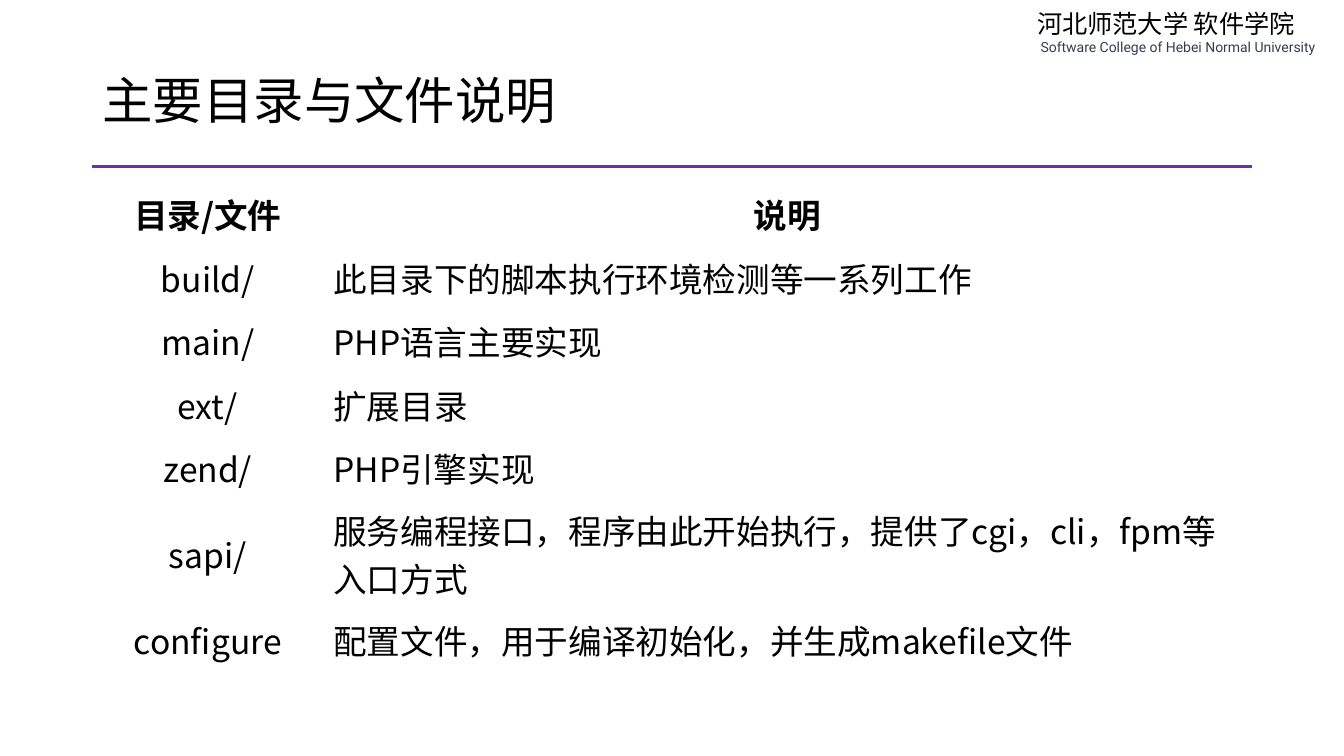
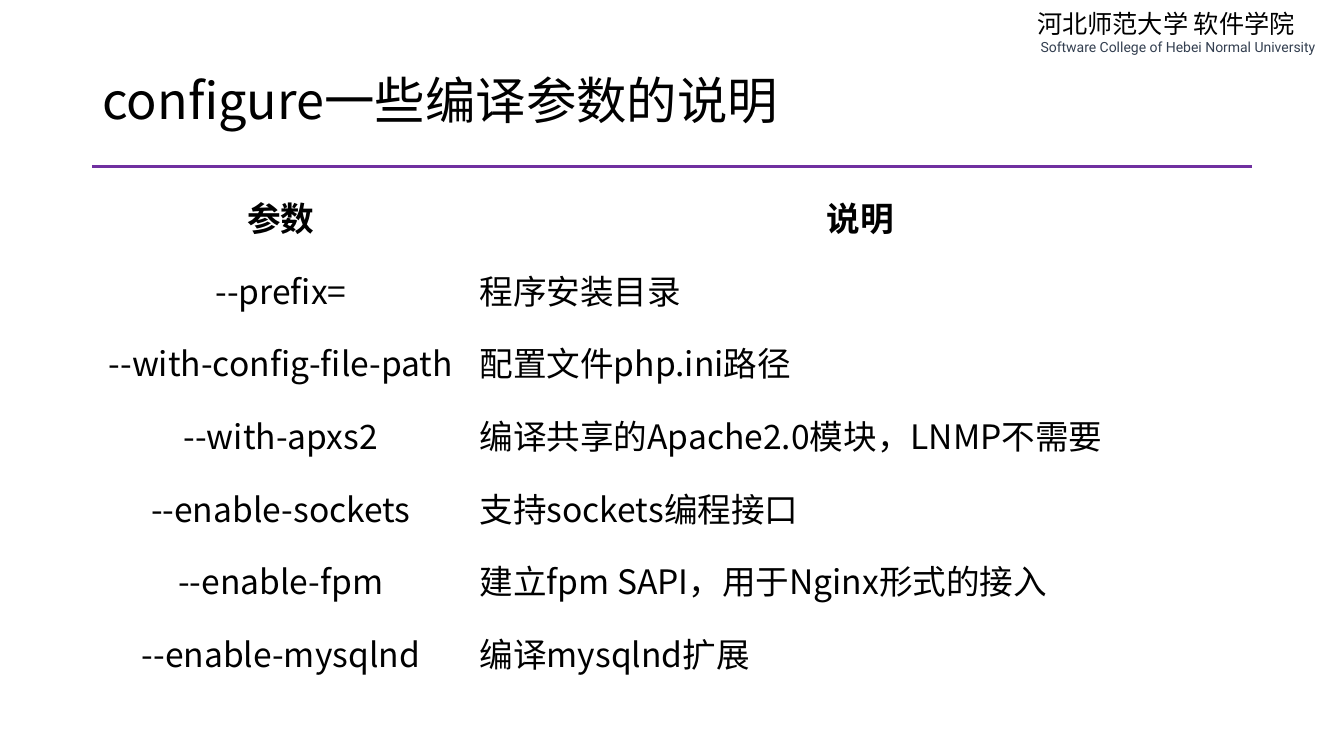
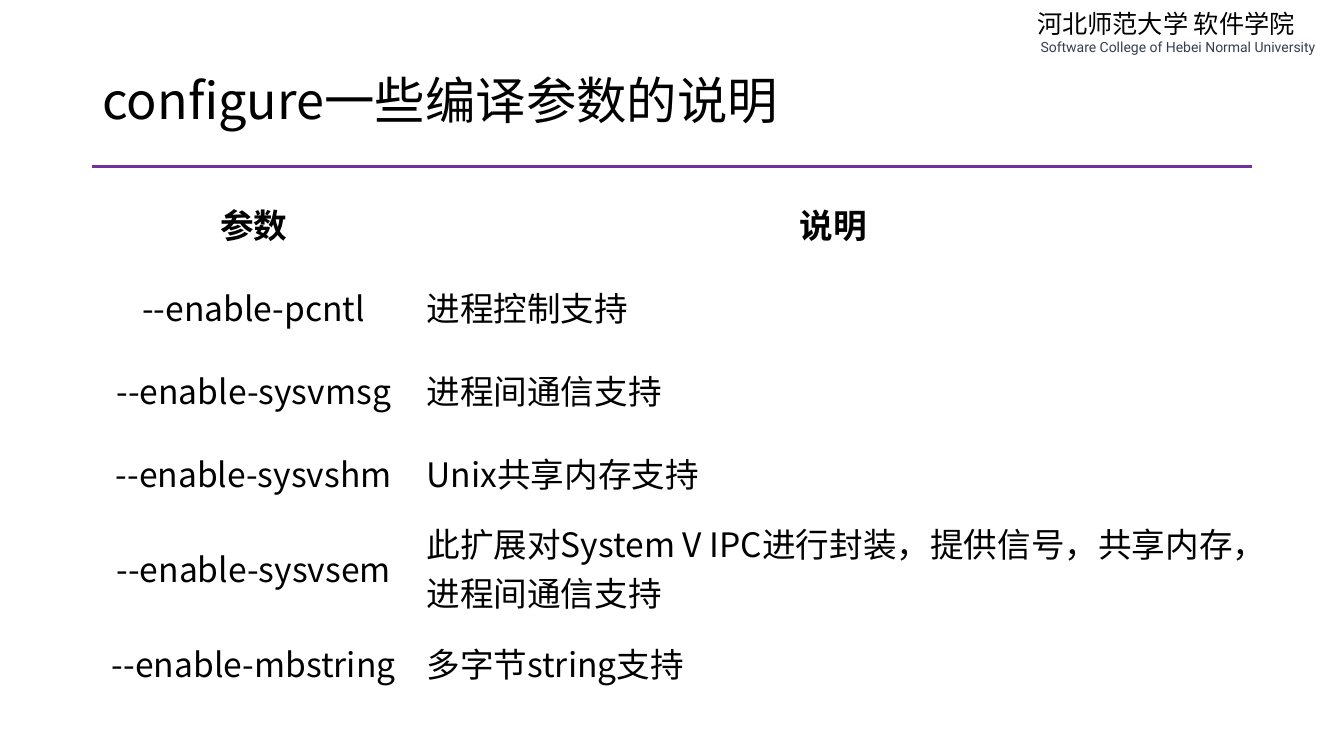
"""Build three slides that explain PHP source directories and configure options."""
from dataclasses import dataclass

from lxml.etree import SubElement
from pptx import Presentation
from pptx.dml.color import RGBColor
from pptx.enum.shapes import MSO_CONNECTOR
from pptx.enum.text import MSO_ANCHOR, MSO_AUTO_SIZE, PP_ALIGN
from pptx.oxml.ns import qn
from pptx.slide import Slide
from pptx.util import Pt

COLORS = {"text": "000000", "rule": "7030A0", "subtitle": "333F50"}
FONT = "Noto Sans CJK SC"
LEFT, WIDTH = 66, 828
TWO_LINE_HEIGHT = 76.8


@dataclass
class TableSlide:
    title: str
    left: float
    top: float
    key_width: float
    row_height: float
    rows: list[tuple[str, str]]
    two_line_key: str = ""


SLIDES = [
    TableSlide("主要目录与文件说明", LEFT, 130.3, 164.9, 45.4, [
        ("目录/文件", "说明"),
        ("build/", "此目录下的脚本执行环境检测等一系列工作"),
        ("main/", "PHP语言主要实现"),
        ("ext/", "扩展目录"),
        ("zend/", "PHP引擎实现"),
        ("sapi/", "服务编程接口，程序由此开始执行，提供了cgi，cli，fpm等入口方式"),
        ("configure", "配置文件，用于编译初始化，并生成makefile文件"),
    ], two_line_key="sapi/"),
    TableSlide("configure一些编译参数的说明", LEFT, 129, 269.3, 51.9, [
        ("参数", "说明"),
        ("--prefix=", "程序安装目录"),
        ("--with-config-file-path", "配置文件php.ini路径"),
        ("--with-apxs2", "编译共享的Apache2.0模块，LNMP不需要"),
        ("--enable-sockets", "支持sockets编程接口"),
        ("--enable-fpm", "建立fpm SAPI，用于Nginx形式的接入"),
        ("--enable-mysqlnd", "编译mysqlnd扩展"),
    ]),
    TableSlide("configure一些编译参数的说明", 65, 130.3, 232.5, 59.2, [
        ("参数", "说明"),
        ("--enable-pcntl", "进程控制支持"),
        ("--enable-sysvmsg", "进程间通信支持"),
        ("--enable-sysvshm", "Unix共享内存支持"),
        ("--enable-sysvsem", "此扩展对System V IPC进行封装，提供信号，共享内存，进程间通信支持"),
        ("--enable-mbstring", "多字节string支持"),
    ], two_line_key="--enable-sysvsem"),
]


def write(p, text: str, *, size: float, font: str = FONT, color: str = "text",
          bold: bool = False, align: PP_ALIGN = PP_ALIGN.LEFT,
          indent: float = 0, spacing: float | None = None) -> None:
    """Write one formatted run into a paragraph."""
    p.alignment = align
    p.line_spacing = spacing
    if indent:
        p._p.get_or_add_pPr().set("marL", str(int(Pt(indent))))
    r = p.add_run()
    r.text = text
    r.font.size = Pt(size)
    r.font.bold = bold
    r.font.color.rgb = RGBColor.from_string(COLORS[color])
    r.font.name = font
    SubElement(r._r.get_or_add_rPr(), qn("a:ea"), typeface=font)


def add_frame(s: Slide, title: str) -> None:
    """Draw the school name, the rule and the title."""
    tf = s.shapes.add_textbox(Pt(733.7), Pt(2.2), Pt(216.8), Pt(41)).text_frame
    tf.word_wrap = True
    tf.auto_size = MSO_AUTO_SIZE.SHAPE_TO_FIT_TEXT
    write(tf.paragraphs[0], "河北师范大学 软件学院", size=18, font="Noto Sans CJK JP")
    write(tf.add_paragraph(), "Software College of Hebei Normal University",
          size=10, font="Roboto", color="subtitle", indent=2.5)

    rule = s.shapes.add_connector(MSO_CONNECTOR.STRAIGHT, Pt(LEFT), Pt(118.8),
                                  Pt(LEFT + WIDTH), Pt(118.8))
    rule.line.color.rgb = RGBColor.from_string(COLORS["rule"])
    rule.line.width = Pt(2.25)
    SubElement(rule._element.spPr, qn("a:effectLst"))

    sp = s.shapes.title
    sp.left, sp.top, sp.width, sp.height = Pt(LEFT), Pt(54), Pt(WIDTH), Pt(58.5)
    tf = sp.text_frame
    tf.word_wrap = True
    tf.auto_size = MSO_AUTO_SIZE.NONE
    tf.vertical_anchor = MSO_ANCHOR.TOP
    tf.margin_top = Pt(0)
    write(tf.paragraphs[0], title, size=36, spacing=0.9)


def add_term_table(s: Slide, item: TableSlide) -> None:
    """Draw the two-column table of terms and explanations."""
    heights = [TWO_LINE_HEIGHT if key == item.two_line_key else item.row_height
               for key, _ in item.rows]
    table = s.shapes.add_table(len(heights), 2, Pt(item.left), Pt(item.top),
                               Pt(WIDTH), Pt(sum(heights))).table
    table.first_row = table.horz_banding = False
    table.columns[0].width = Pt(item.key_width)
    table.columns[1].width = Pt(WIDTH - item.key_width)
    for i, texts in enumerate(item.rows):
        table.rows[i].height = Pt(heights[i])
        for j, text in enumerate(texts):
            cell = table.cell(i, j)
            cell.fill.background()
            cell.vertical_anchor = MSO_ANCHOR.MIDDLE
            centred = i == 0 or j == 0
            write(cell.text_frame.paragraphs[0], text, size=24, bold=i == 0,
                  align=PP_ALIGN.CENTER if centred else PP_ALIGN.LEFT)


def main() -> None:
    """Build and save the presentation."""
    prs = Presentation()
    prs.slide_width, prs.slide_height = Pt(960), Pt(540)
    for item in SLIDES:
        s = prs.slides.add_slide(prs.slide_layouts[5])
        add_frame(s, item.title)
        add_term_table(s, item)
    prs.save("out.pptx")


if __name__ == "__main__":
    main()
